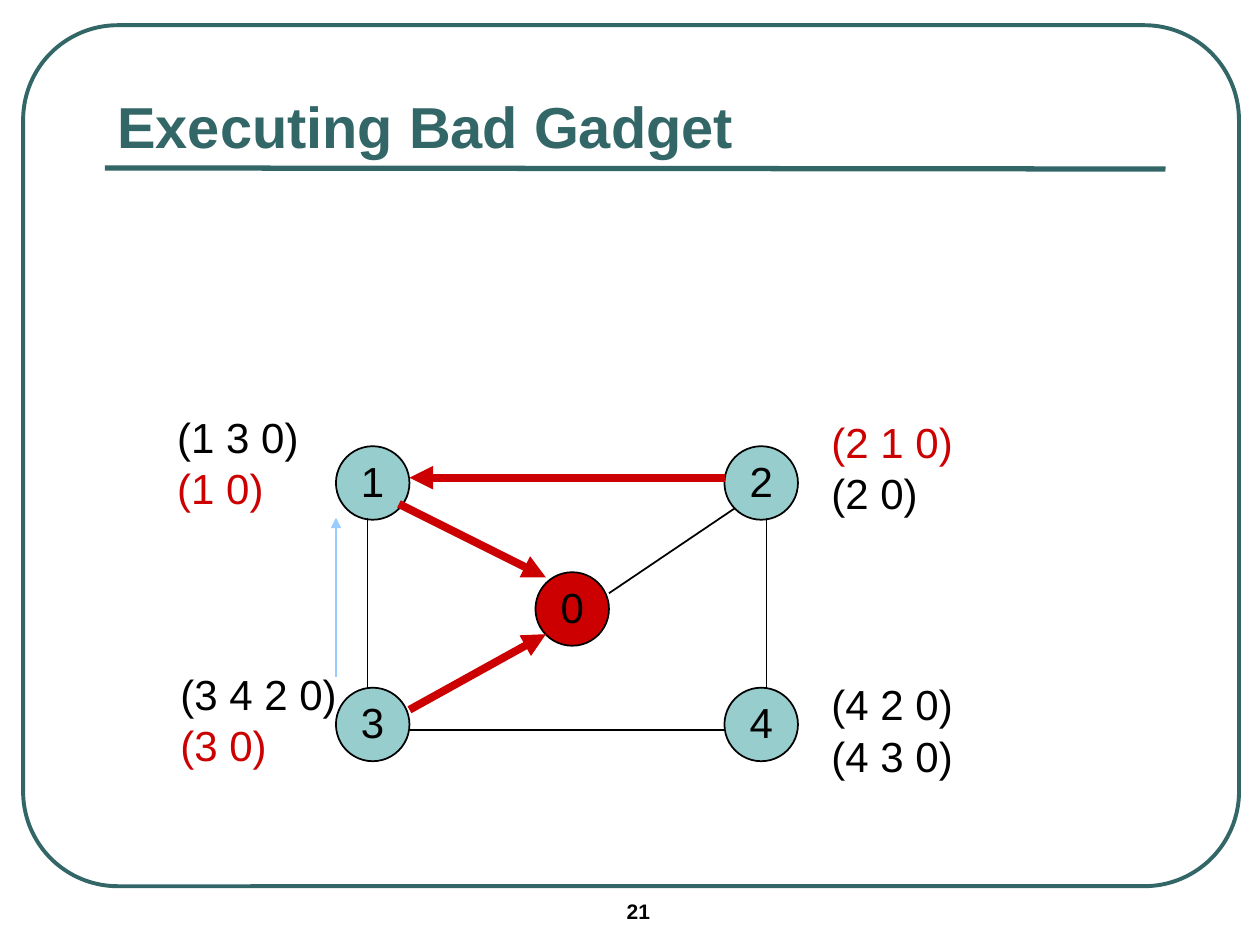
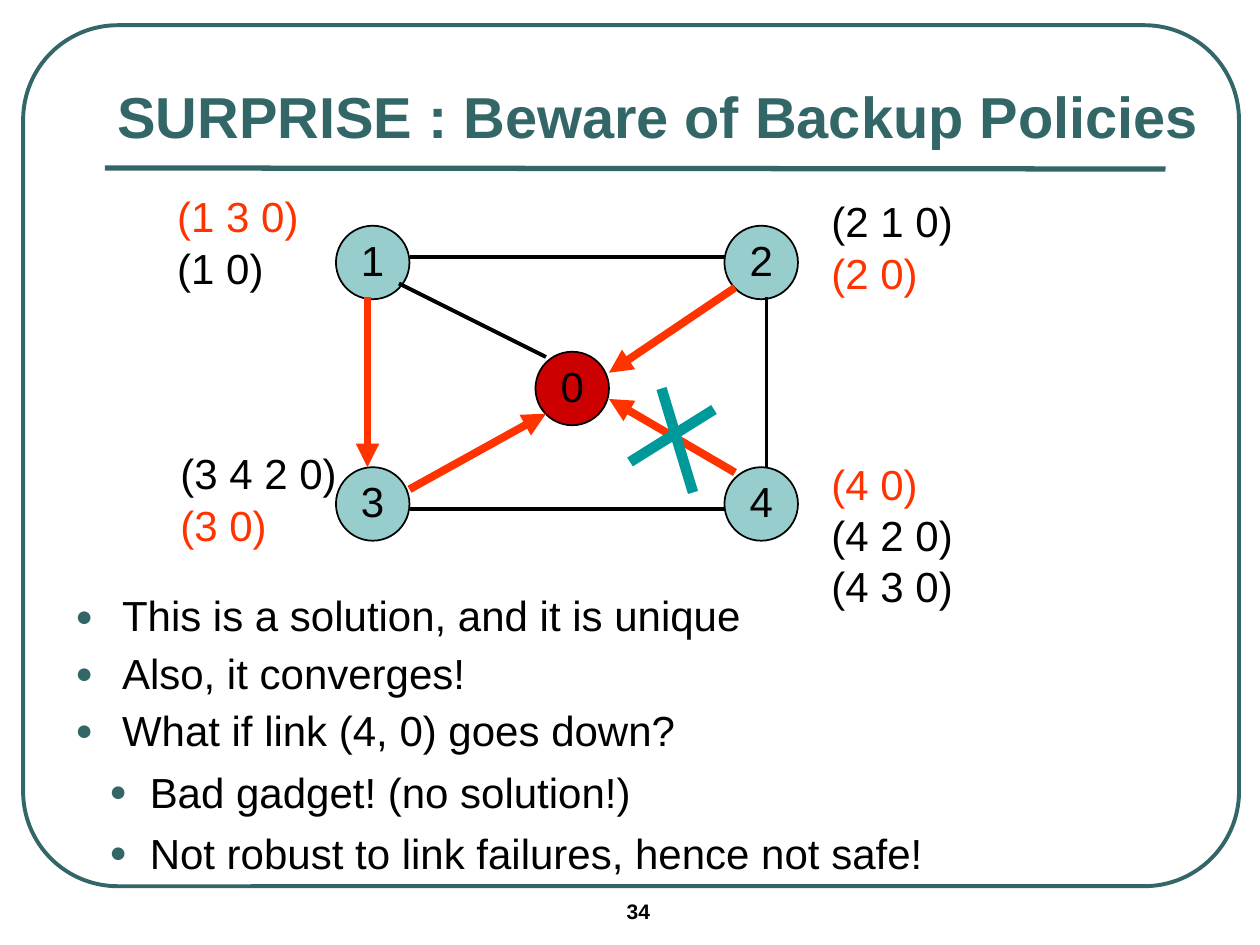
from dataclasses import dataclass
from typing import Any, NamedTuple

from lxml.etree import SubElement
from pptx import Presentation
from pptx.dml.color import RGBColor
from pptx.enum.shapes import MSO_CONNECTOR as Connector, MSO_SHAPE as Shape
from pptx.enum.text import MSO_ANCHOR as Anchor, PP_ALIGN as Align
from pptx.oxml.ns import qn
from pptx.util import Emu, Inches, Pt

WHITE = RGBColor(0xFF, 0xFF, 0xFF)
BLACK = RGBColor(0x00, 0x00, 0x00)
PINE = RGBColor(0x33, 0x66, 0x66)
AQUA = RGBColor(0x97, 0xCD, 0xCC)
RED = RGBColor(0xCC, 0x00, 0x00)
ORANGE = RGBColor(0xFF, 0x33, 0x00)
SKY = RGBColor(0x99, 0xCC, 0xFF)
TEAL = RGBColor(0x00, 0x99, 0x99)

WIDTH, HEIGHT = Inches(10), Inches(7.5)
COLUMNS, ROWS = 120, 90
NODE_SIZE = 7
TIGHT = 0.93


class Cell(NamedTuple):
    column: float
    row: float


class Span(NamedTuple):
    start: Cell
    end: Cell


class Area(NamedTuple):
    column: float
    row: float
    columns: float
    rows: float


class Link(NamedTuple):
    hop: str
    color: RGBColor = BLACK
    width: float = 1
    arrow: bool = False


@dataclass
class Line:
    text: str
    color: RGBColor = BLACK
    size: float = 24
    bold: bool = False
    spacing: float = 1.0
    before: float = 0
    align: Align = Align.LEFT


@dataclass
class Gadget:
    top: float
    accent: RGBColor
    links: list[Link]
    routes: dict[str, list[str]]
    chosen: set[str]


@dataclass
class Page:
    title: str
    title_area: Area
    number: int
    gadget: Gadget


NODES = {
    "1": Cell(32, 0),
    "0": Cell(51, 12),
    "4": Cell(69, 23),
    "3": Cell(32, 23),
    "2": Cell(69, 0),
}
HOPS = {
    "34": Span(Cell(39, 27), Cell(69, 27)),
    "31": Span(Cell(35, 23), Cell(35, 6.8)),
    "42": Span(Cell(73, 23), Cell(73, 6.8)),
    "12": Span(Cell(39, 3), Cell(69, 3)),
    "30": Span(Cell(39, 25.1), Cell(52, 17.9)),
    "20": Span(Cell(70, 5.9), Cell(58, 14)),
    "10": Span(Cell(38, 5.5), Cell(52, 12.5)),
    "40": Span(Cell(70, 23.5), Cell(58, 16.5)),
}
ROUTE_AREAS = {
    "1": Area(15.7, -3.5, 14, 10.6),
    "3": Area(16, 21, 17.3, 10.6),
    "4": Area(78, 22, 14, 10.6),
    "2": Area(78, -3, 14, 10.6),
}
ANNOUNCEMENT = Span(Cell(32, 22), Cell(32, 6.8))
FAILURE_CROSS = [
    Span(Cell(68, 17.5), Cell(60, 22.5)),
    Span(Cell(63, 15.5), Cell(66, 25.4)),
]

EXECUTION = Page(
    "Executing Bad Gadget", Area(10, 7, 101, 9), 21,
    Gadget(
        42.5, RED,
        [Link("34"), Link("31"), Link("42"),
         Link("21", RED, 4.5, True), Link("30", RED, 4.5, True),
         Link("20"), Link("10", RED, 4.5, True)],
        {"1": ["(1 3 0)", "(1 0)"], "3": ["(3 4 2 0)", "(3 0)"],
         "4": ["(4 2 0)", "(4 3 0)"], "2": ["(2 1 0)", "(2 0)"]},
        {"(1 0)", "(3 0)", "(2 1 0)"},
    ),
)
BACKUP = Page(
    "SURPRISE : Beware of Backup Policies", Area(10, 7, 107, 8), 34,
    Gadget(
        21.5, ORANGE,
        [Link("34", width=2.25), Link("13", ORANGE, 4.5, True),
         Link("42", width=2.25), Link("12", width=2.25),
         Link("30", ORANGE, 4.5, True), Link("20", ORANGE, 4.5, True),
         Link("10", width=2.25), Link("40", ORANGE, 4.5, True)],
        {"1": ["(1 3 0)", "(1 0)"], "3": ["(3 4 2 0)", "(3 0)"],
         "4": ["(4 0)", "(4 2 0)", "(4 3 0)"], "2": ["(2 1 0)", "(2 0)"]},
        {"(1 3 0)", "(3 0)", "(4 0)", "(2 0)"},
    ),
)
FINDINGS = [
    "This is a solution, and it is unique",
    "Also, it converges!",
    "What if link (4, 0) goes down?",
]
CONSEQUENCES = [
    "Bad gadget! (no solution!)",
    "Not robust to link failures, hence not safe!",
]


def across(columns: float) -> Emu:
    return Emu(round(WIDTH * columns / COLUMNS))


def down(rows: float) -> Emu:
    return Emu(round(HEIGHT * rows / ROWS))


def place(area: Area) -> tuple[Emu, Emu, Emu, Emu]:
    return across(area.column), down(area.row), across(area.columns), down(area.rows)


def apply(target: Any, values: dict[str, Any]) -> None:
    for attribute, value in values.items():
        setattr(target, attribute, value)


def write(frame: Any, lines: list[Line], **layout: Any) -> None:
    apply(frame, {"word_wrap": True} | layout)
    for index, line in enumerate(lines):
        paragraph = frame.add_paragraph() if index else frame.paragraphs[0]
        apply(paragraph, {"alignment": line.align, "line_spacing": line.spacing,
                          "space_before": Pt(line.before)})
        run = paragraph.add_run()
        run.text = line.text
        apply(run.font, {"name": "Arial", "size": Pt(line.size), "bold": line.bold})
        run.font.color.rgb = line.color


def add_text(slide: Any, area: Area, lines: list[Line], **layout: Any) -> Any:
    frame = slide.shapes.add_textbox(*place(area)).text_frame
    write(frame, lines, **layout)
    return frame


def outline(line: Any, color: RGBColor, width: float) -> None:
    line.color.rgb = color
    line.width = Pt(width)


def add_line(slide: Any, span: Span, color: RGBColor, width: float,
             arrow: bool = False, top: float = 0) -> None:
    start, end = span
    stroke = slide.shapes.add_connector(
        Connector.STRAIGHT, across(start.column), down(top + start.row),
        across(end.column), down(top + end.row))
    outline(stroke.line, color, width)
    if arrow:
        SubElement(stroke.line._get_or_add_ln(), qn("a:tailEnd"), type="triangle")
    SubElement(stroke._element.spPr, qn("a:effectLst"))


def add_frame(slide: Any, page: Page) -> None:
    slide.background.fill.solid()
    slide.background.fill.fore_color.rgb = WHITE
    add_text(slide, Area(58.5, 85.2, 14, 3.5),
             [Line(str(page.number), size=12, bold=True, spacing=TIGHT)])
    border = slide.shapes.add_shape(Shape.ROUNDED_RECTANGLE,
                                    *place(Area(2.2, 2.4, 115.8, 82)))
    border.adjustments[0] = 0.11
    border.shadow.inherit = False
    border.fill.background()
    outline(border.line, PINE, 2.25)
    add_line(slide, Span(Cell(10, 16), Cell(111, 16.1)), PINE, 3)
    add_text(slide, page.title_area,
             [Line(page.title, PINE, 33, True, TIGHT)], vertical_anchor=Anchor.BOTTOM)


def add_node(slide: Any, name: str, cell: Cell, top: float) -> None:
    node = slide.shapes.add_shape(
        Shape.OVAL, *place(Area(cell.column, top + cell.row, NODE_SIZE, NODE_SIZE)))
    node.shadow.inherit = False
    node.fill.solid()
    node.fill.fore_color.rgb = RED if name == "0" else AQUA
    outline(node.line, BLACK, 1)
    margins = dict.fromkeys(
        ("margin_left", "margin_right", "margin_top", "margin_bottom"), 0)
    write(node.text_frame, [Line(name, spacing=TIGHT, align=Align.CENTER)],
          vertical_anchor=Anchor.MIDDLE, **margins)


def hop_span(hop: str) -> Span:
    return HOPS[hop] if hop in HOPS else Span(*reversed(HOPS[hop[::-1]]))


def add_gadget(slide: Any, gadget: Gadget) -> None:
    for name, cell in NODES.items():
        add_node(slide, name, cell, gadget.top)
    for link in gadget.links:
        add_line(slide, hop_span(link.hop), link.color, link.width, link.arrow, gadget.top)
    for name, routes in gadget.routes.items():
        area = ROUTE_AREAS[name]
        lines = [Line(route, gadget.accent if route in gadget.chosen else BLACK,
                      spacing=1.0 if index else TIGHT)
                 for index, route in enumerate(routes)]
        extra_rows = 4.8 * (len(routes) - 2)
        add_text(slide, area._replace(row=gadget.top + area.row, rows=area.rows + extra_rows),
                 lines, word_wrap=False)


def add_bullet(paragraph: Any, margin: float, hanging: float) -> None:
    properties = paragraph._p.get_or_add_pPr()
    properties.set("marL", str(Inches(margin)))
    properties.set("indent", str(-Inches(hanging)))
    color = SubElement(properties, qn("a:buClr"))
    SubElement(color, qn("a:srgbClr"), val=str(PINE))
    SubElement(properties, qn("a:buSzPct"), val="70000")
    SubElement(properties, qn("a:buFont"), typeface="Arial")
    SubElement(properties, qn("a:buChar"), char="●")


def add_conclusions(slide: Any) -> None:
    lines = [Line(text, spacing=TIGHT, before=6) for text in FINDINGS]
    lines += [Line(text, before=6) for text in CONSEQUENCES]
    frame = add_text(slide, Area(6, 56, 110, 28.2), lines)
    for index, paragraph in enumerate(frame.paragraphs):
        is_finding = index < len(FINDINGS)
        paragraph.level = 0 if is_finding else 1
        add_bullet(paragraph, *((0.37, 0.37) if is_finding else (0.59, 0.32)))


def main() -> None:
    deck = Presentation()
    apply(deck, {"slide_width": WIDTH, "slide_height": HEIGHT})
    slides = []
    for page in (EXECUTION, BACKUP):
        slide = deck.slides.add_slide(deck.slide_layouts[6])
        add_frame(slide, page)
        add_gadget(slide, page.gadget)
        slides.append(slide)
    execution, backup = slides
    add_line(execution, ANNOUNCEMENT, SKY, 1, True, EXECUTION.gadget.top)
    for stroke in FAILURE_CROSS:
        add_line(backup, stroke, TEAL, 6, top=BACKUP.gadget.top)
    add_conclusions(backup)
    deck.save("out.pptx")


if __name__ == "__main__":
    main()
